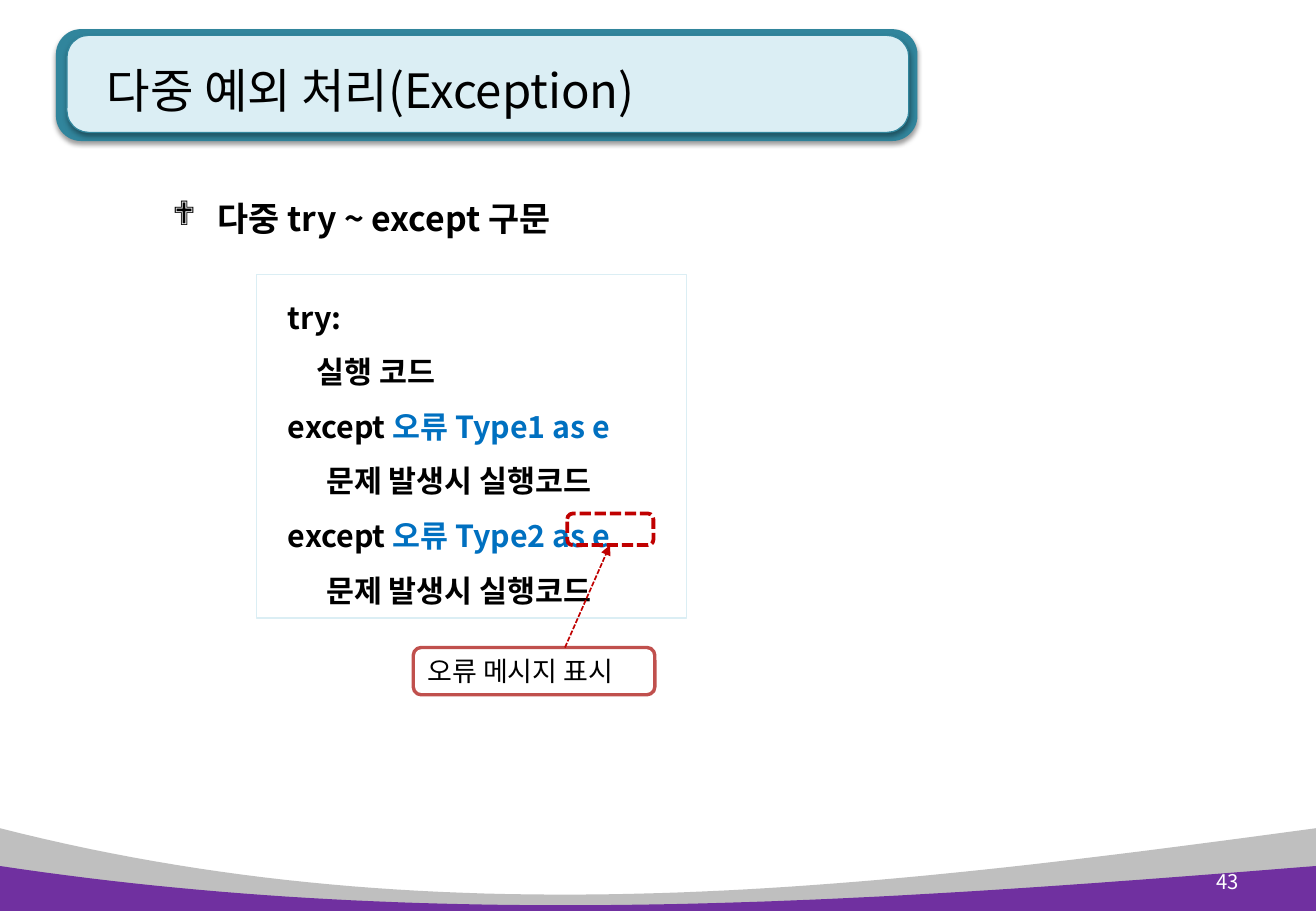
import pptx
import pptx.dml.color
import pptx.enum.dml
import pptx.enum.shapes
import pptx.enum.text
import pptx.oxml
import pptx.oxml.ns
import pptx.util

Cm, Pt = pptx.util.Cm, pptx.util.Pt
Kind = pptx.enum.shapes.MSO_SHAPE
Anchor = pptx.enum.text.MSO_ANCHOR
Align = pptx.enum.text.PP_ALIGN
Dash = pptx.enum.dml.MSO_LINE
FONT = "Noto Sans CJK KR"
BLACK, BLUE, RED, WHITE = "000000", "0070C0", "C00000", "FFFFFF"

TITLE = "다중 예외 처리(Exception)"
TOPIC = "다중 try ~ except 구문"
NOTE = "오류 메시지 표시"
PAGE = "43"
# indent in cm, then runs of (text, colour)
CODE = [
    (0, [("try:", BLACK)]),
    (0.6, [("실행 코드", BLACK)]),
    (0, [("except ", BLACK), ("오류 Type1 as e", BLUE)]),
    (0.8, [("문제 발생시 실행코드", BLACK)]),
    (0, [("except ", BLACK), ("오류 Type2 as e", BLUE)]),
    (0.8, [("문제 발생시 실행코드", BLACK)]),
]
# colour, heights in cm of the four control points of the top edge
WAVES = [("BFBFBF", (17.32, 19.69, 18.57, 17.32)),
         ("7030A0", (18.11, 19.51, 18.85, 18.11))]
WAVE_X = (0, 9.27, 18.29, 27.51)
# place in cm, fill, line
PANELS = [((1.17, 0.61, 18.01, 2.34), "31859C", None),
          ((1.4, 0.74, 17.6, 2.03), "DBEEF4", "31859C")]


def rgb(code):
    return pptx.dml.color.RGBColor.from_string(code)


def xml(text):
    return pptx.oxml.parse_xml(text.replace(">", " " + pptx.oxml.ns.nsdecls("a") + ">", 1))


def paint(shape, fill, line=None, width=1):
    shape.shadow.inherit = False
    if fill:
        shape.fill.solid()
        shape.fill.fore_color.rgb = rgb(fill)
    else:
        shape.fill.background()
    if line:
        shape.line.color.rgb = rgb(line)
        shape.line.width = Pt(width)
    else:
        shape.line.fill.background()


def style(para, size, color=BLACK, bold=False):
    for run in para.runs:
        font = run.font
        font.name, font.size, font.bold = FONT, Pt(size), bold
        font.color.rgb = rgb(color)
        run._r.rPr.find(pptx.oxml.ns.qn("a:latin")).addnext(
            xml(f'<a:ea typeface="{FONT}"></a:ea>'))


def place(shape, left, top, width, height):
    shape.left, shape.top = Cm(left), Cm(top)
    shape.width, shape.height = Cm(width), Cm(height)


def add(kind, box, fill, line=None, width=1, round_to=None):
    shape = slide.shapes.add_shape(kind, *map(Cm, box))
    paint(shape, fill, line, width)
    if round_to is not None:
        shape.adjustments[0] = round_to
    return shape


def bezier(points, t):
    a, b, c, d = points
    s = 1 - t
    return Cm(a * s**3 + 3 * b * s * s * t + 3 * c * s * t * t + d * t**3)


def wave(color, heights):
    edge = [(bezier(WAVE_X, i / 60), bezier(heights, i / 60)) for i in range(61)]
    form = slide.shapes.build_freeform(*edge[0])
    form.add_line_segments(edge[1:] + [(Cm(27.51), Cm(19.05)), (0, Cm(19.05))])
    paint(form.convert_to_shape(), color)


def panel(box, fill, line):
    shape = add(Kind.ROUNDED_RECTANGLE, box, fill, line, 0.75, 0.225)
    shape._element.spPr.find(pptx.oxml.ns.qn("a:effectLst")).append(xml(
        '<a:outerShdw blurRad="39400" dist="20300" dir="5400000" rotWithShape="0">'
        '<a:srgbClr val="000000"><a:alpha val="38000"/></a:srgbClr></a:outerShdw>'))


deck = pptx.Presentation()
deck.slide_width, deck.slide_height = Cm(27.51), Cm(19.05)
slide = deck.slides.add_slide(deck.slide_layouts[1])
title, body = slide.placeholders

wave(*WAVES[0])
for row in PANELS:
    panel(*row)
wave(*WAVES[1])

# Title and topic go in front of the panels
for holder in (title, body):
    slide.shapes._spTree.append(holder._element)
place(title, 1.75, 0.86, 17.22, 2.03)
frame = title.text_frame
frame.text = TITLE
frame.margin_left = Cm(0.48)
frame.vertical_anchor = Anchor.MIDDLE
frame.paragraphs[0].alignment = Align.LEFT
style(frame.paragraphs[0], 28)

place(body, 3.35, 3.58, 13, 1.55)
frame = body.text_frame
frame.text = TOPIC
para = frame.paragraphs[0]
props = para._p.get_or_add_pPr()
props.set("marL", str(Cm(0.95)))
props.set("indent", str(-Cm(0.95)))
props.append(xml('<a:buFont typeface="Wingdings"></a:buFont>'))
props.append(xml('<a:buChar char="❖"></a:buChar>'))
para.line_spacing, para.space_before = 1.5, Pt(0)
style(para, 20, bold=True)

page = slide.shapes.add_textbox(Cm(24.59), Cm(17.93), Cm(1.55), Cm(1.02))
frame = page.text_frame
frame.text, frame.word_wrap = PAGE, True
frame.vertical_anchor = Anchor.MIDDLE
frame.paragraphs[0].alignment = Align.RIGHT
style(frame.paragraphs[0], 12, WHITE)

listing = add(Kind.RECTANGLE, (5.36, 5.74, 8.99, 7.19), WHITE, "DBEEF4")
frame = listing.text_frame
frame.vertical_anchor, frame.margin_left = Anchor.TOP, Cm(0.66)
for i, (indent, runs) in enumerate(CODE):
    para = frame.add_paragraph() if i else frame.paragraphs[0]
    para._p.get_or_add_pPr().set("marL", str(Cm(indent)))
    para.alignment, para.line_spacing = Align.LEFT, 1.5
    for text, color in runs:
        para.add_run().text = text
    style(para, 18, bold=True)
    for run, (text, color) in zip(para.runs, runs):
        run.font.color.rgb = rgb(color)

mark = add(Kind.ROUNDED_RECTANGLE, (11.86, 10.74, 1.8, 0.66), None, RED, 2.25)
mark.line.dash_style = Dash.SQUARE_DOT

note = add(Kind.ROUNDED_RECTANGLE, (8.64, 13.54, 5.05, 0.99), WHITE, "C0504D", 2)
frame = note.text_frame
frame.text = NOTE
frame.vertical_anchor = Anchor.MIDDLE
frame.paragraphs[0].alignment = Align.LEFT
style(frame.paragraphs[0], 16)

arrow = slide.shapes.add_connector(
    pptx.enum.shapes.MSO_CONNECTOR.STRAIGHT, Cm(11.81), Cm(13.54), Cm(12.75), Cm(11.4))
arrow.line.color.rgb, arrow.line.width = rgb(RED), Pt(1)
arrow.line.dash_style = Dash.SQUARE_DOT
arrow.line._get_or_add_ln().append(xml('<a:tailEnd type="triangle"></a:tailEnd>'))
arrow._element.spPr.append(xml("<a:effectLst></a:effectLst>"))

deck.save("out.pptx")
